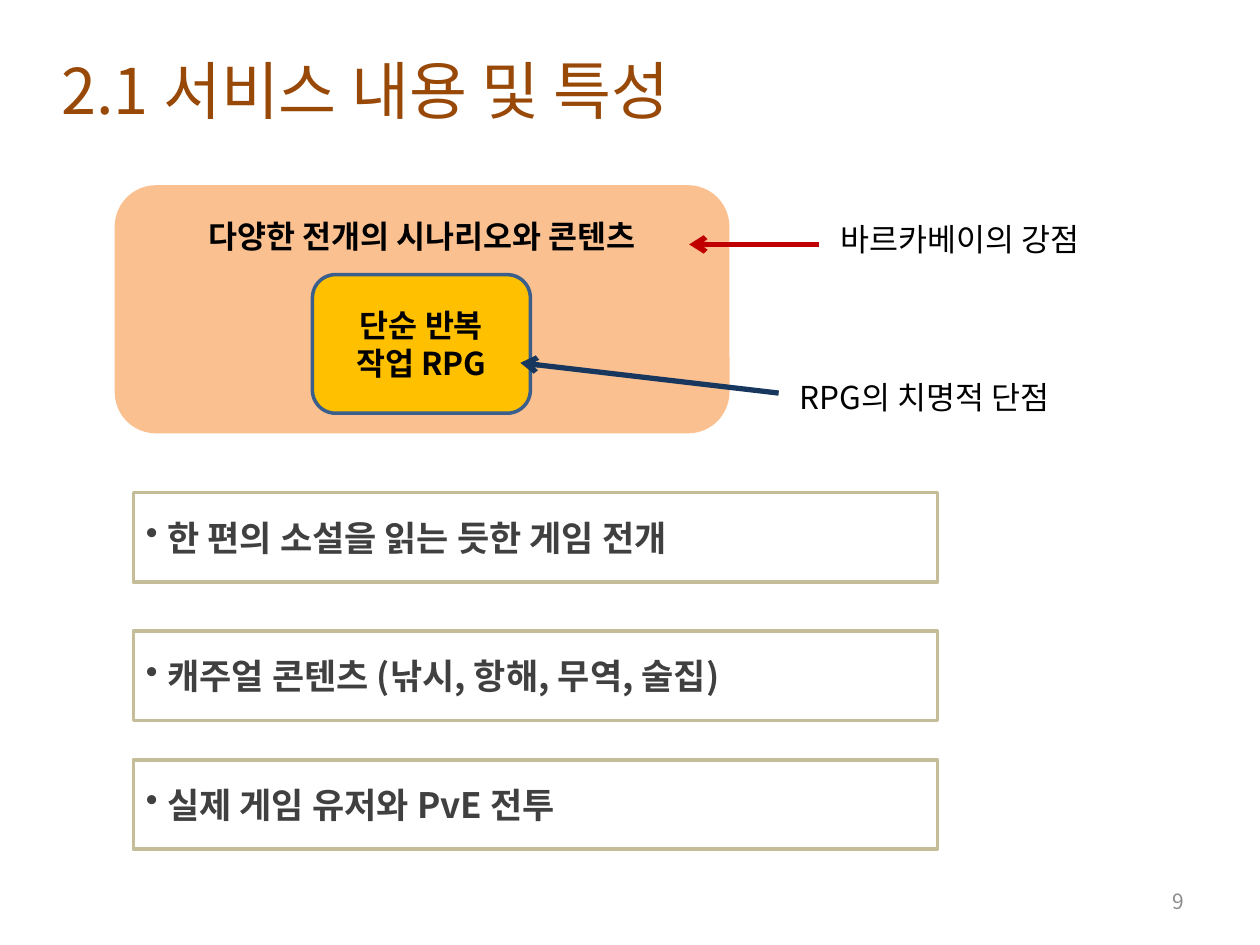
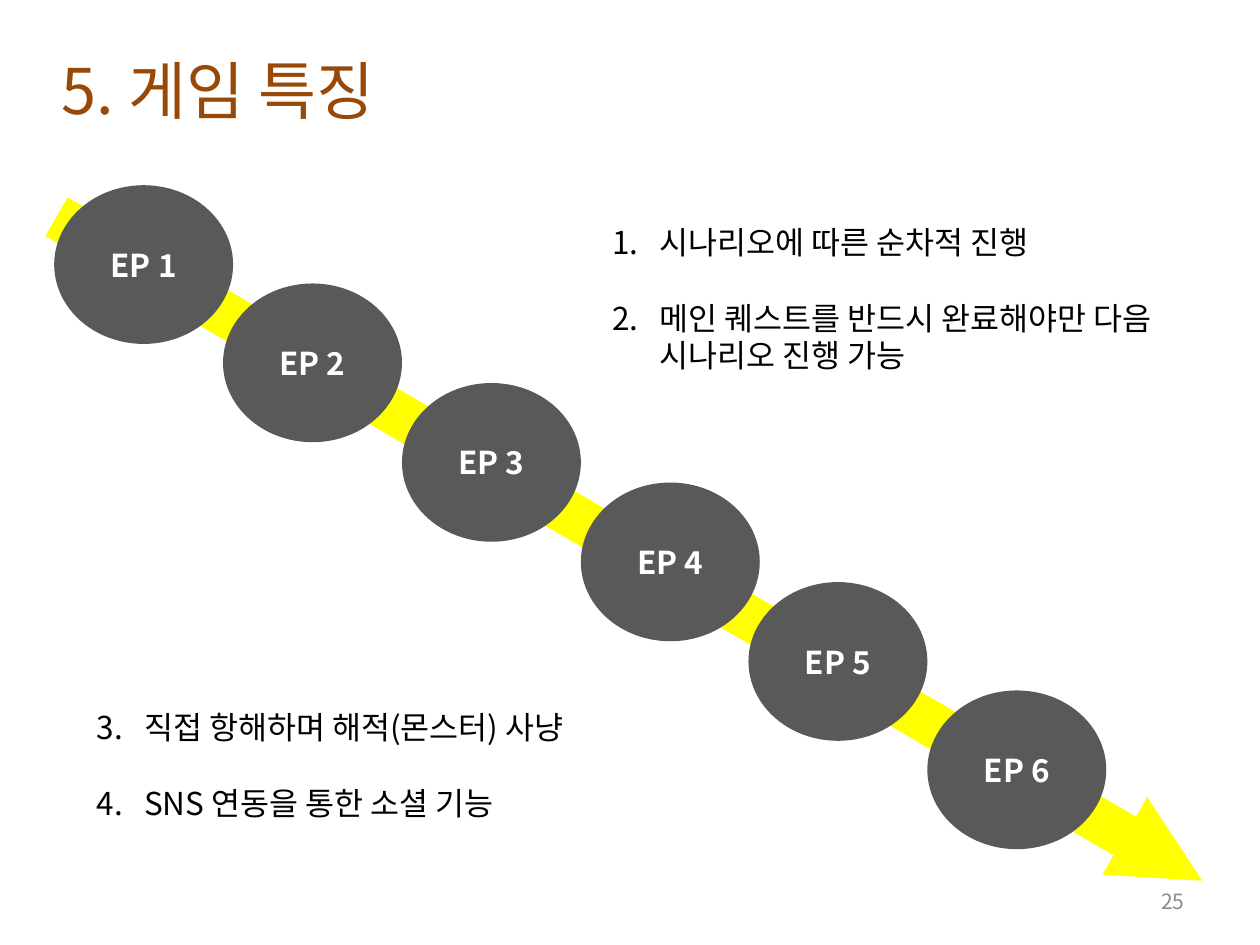
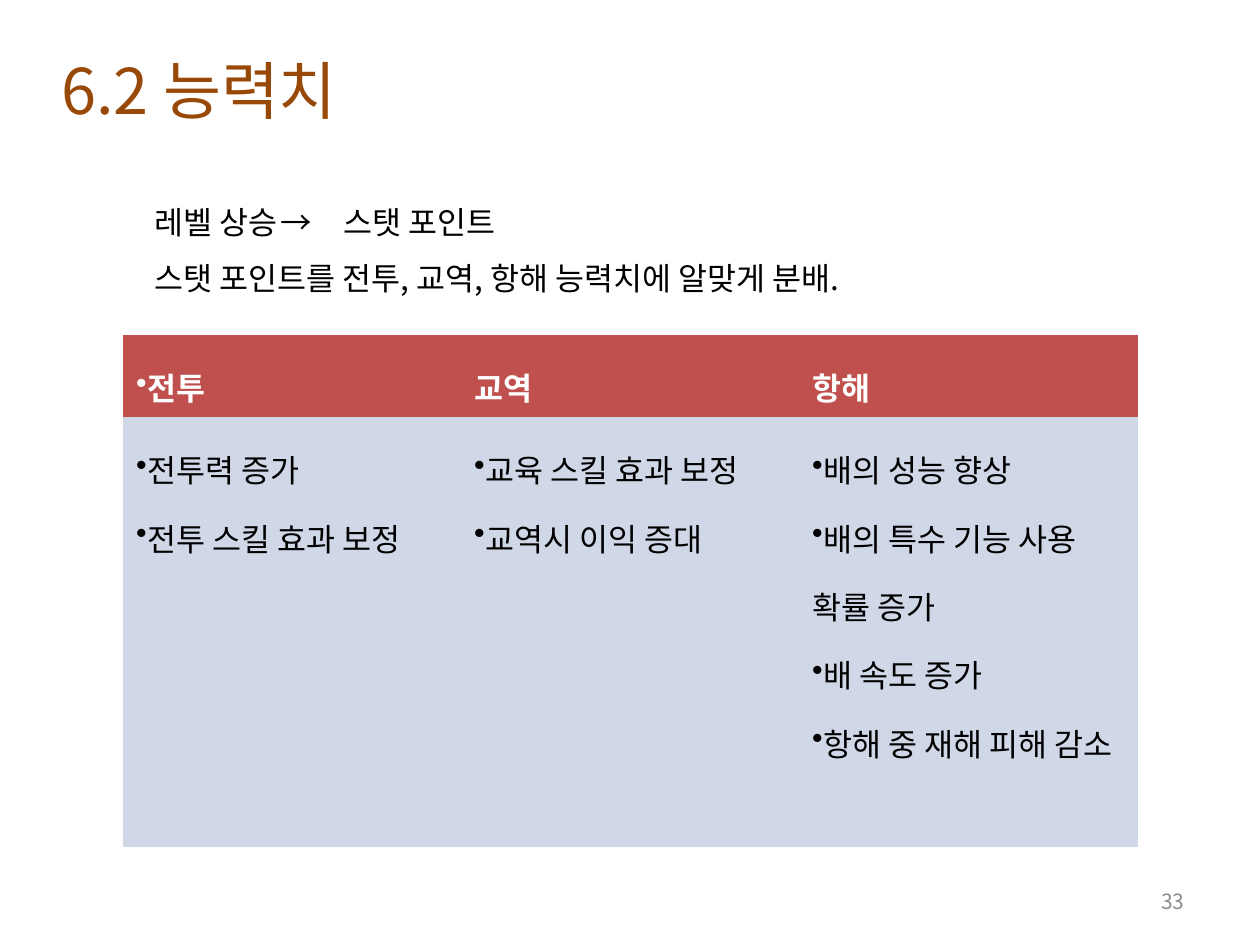
"""Builds three slides about a sailing game: service, features and abilities."""
import dataclasses
import typing

import lxml.etree
import pptx
import pptx.dml.color
import pptx.enum.shapes
import pptx.enum.text
import pptx.oxml.ns
import pptx.util

SLIDE_WIDTH = pptx.util.Inches(10)
SLIDE_HEIGHT = pptx.util.Inches(7.5)
COLUMNS, ROWS = 100, 75
FONT = "Noto Sans CJK KR"
TITLE, FOOTER, INK, WHITE = "984807", "8C8C8C", "000000", "FFFFFF"
STRENGTH, WEAKNESS = "C00000", "17375E"
PLAIN_TABLE = "{2D5ABB26-0587-4C30-8999-92F81FD0307C}"
SHAPES = pptx.enum.shapes.MSO_SHAPE
ALIGN = pptx.enum.text.PP_ALIGN
ANCHOR = pptx.enum.text.MSO_ANCHOR


@dataclasses.dataclass(frozen=True)
class Area:
    """A rectangle in grid columns and rows."""
    left: float
    top: float
    width: float
    height: float

    def lengths(self) -> tuple[int, int, int, int]:
        """Return left, top, width and height as slide lengths."""
        return column(self.left), row(self.top), column(self.width), row(self.height)


@dataclasses.dataclass(frozen=True)
class Style:
    """The look of a text and its paragraphs."""
    size: float = 18
    color: str = INK
    bold: bool = False
    align: typing.Optional[ALIGN] = None
    anchor: ANCHOR = ANCHOR.TOP
    line_spacing: typing.Optional[float] = None
    gap: float = 0
    hanging: float = 0
    bullet: bool = False
    first_number: int = 0
    tabs: tuple[float, ...] = ()
    wrap: bool = True


@dataclasses.dataclass(frozen=True)
class Panel:
    """A preset shape with its fill and outline."""
    area: Area
    preset: SHAPES
    fill: str = ""
    outline: str = ""


@dataclasses.dataclass(frozen=True)
class Pointer:
    """An arrow and the label at its start."""
    start: tuple[float, float]
    end: tuple[float, float]
    color: str
    label: str
    label_area: Area


@dataclasses.dataclass(frozen=True)
class Ability:
    """A table column: heading and effects."""
    heading: str
    bulleted: bool
    effects: tuple[str, ...]


LABEL = Style(wrap=False)
HEADLINE = Style(bold=True, align=ALIGN.CENTER)
CORE = Style(bold=True, align=ALIGN.CENTER, anchor=ANCHOR.MIDDLE)
EPISODE = Style(color=WHITE, bold=True, align=ALIGN.CENTER, anchor=ANCHOR.MIDDLE)
FEATURE = Style(20, "404040", True, anchor=ANCHOR.MIDDLE, hanging=1.7, bullet=True)
NUMBERED = Style(anchor=ANCHOR.MIDDLE, gap=21.6, hanging=3.75, first_number=1)
INTRO = Style(line_spacing=1.5, tabs=(12, 15.9))
ABILITY = Style(line_spacing=1.5, bullet=True)

FEATURES = (
    (39.1, "한 편의 소설을 읽는 듯한 게임 전개"),
    (50.1, "캐주얼 콘텐츠 (낚시, 항해, 무역, 술집)"),
    (60.3, "실제 게임 유저와 PvE 전투"),
)
POINTERS = (
    Pointer((61.8, 31.2), (41.3, 28.8), WEAKNESS, "RPG의 치명적 단점", Area(62.5, 29.5, 23.7, 4)),
    Pointer((65, 19.4), (54.7, 19.4), STRENGTH, "바르카베이의 강점", Area(65.7, 17, 23.1, 4)),
)
EPISODES = ((4.3, 14.7), (17.7, 22.5), (31.9, 30.4), (46.1, 38.3), (59.4, 46.2), (73.6, 54.8))
ABILITIES = (
    Ability("전투", True, ("전투력 증가", "전투 스킬 효과 보정")),
    Ability("교역", False, ("교육 스킬 효과 보정", "교역시 이익 증대")),
    Ability("항해", False, ("배의 성능 향상", "배의 특수 기능 사용 확률 증가",
                          "배 속도 증가", "항해 중 재해 피해 감소")),
)


def column(count: float) -> int:
    """Return the length of some grid columns."""
    return round(SLIDE_WIDTH * count / COLUMNS)


def row(count: float) -> int:
    """Return the length of some grid rows."""
    return round(SLIDE_HEIGHT * count / ROWS)


def rgb(color: str) -> pptx.dml.color.RGBColor:
    """Turn a hex string into a colour."""
    return pptx.dml.color.RGBColor.from_string(color)


def add_xml(parent: typing.Any, tag: str, **attributes: str) -> typing.Any:
    """Append a drawing element and return it."""
    return lxml.etree.SubElement(parent, pptx.oxml.ns.qn(tag), attributes)


def write(frame: typing.Any, lines: typing.Sequence[str], style: Style) -> None:
    """Fill a text frame with one paragraph for each line."""
    for index, line in enumerate(lines):
        paragraph = frame.add_paragraph() if index else frame.paragraphs[0]
        paragraph.alignment = style.align
        if style.line_spacing:
            paragraph.line_spacing = style.line_spacing
        if style.gap and index:
            paragraph.space_before = pptx.util.Pt(style.gap)
        properties = paragraph._p.get_or_add_pPr()
        properties.set("marL", str(column(style.hanging)))
        properties.set("indent", str(-column(style.hanging)))
        if style.bullet:
            add_xml(properties, "a:buChar", char="•")
        elif style.first_number:
            add_xml(properties, "a:buAutoNum", type="arabicPeriod", startAt=str(style.first_number))
        if style.tabs:
            stops = add_xml(properties, "a:tabLst")
            for stop in style.tabs:
                add_xml(stops, "a:tab", pos=str(column(stop)), algn="l")
        run = paragraph.add_run()
        run.text = line
        run.font.size = pptx.util.Pt(style.size)
        run.font.bold = style.bold
        run.font.color.rgb = rgb(style.color)
        run.font.name = FONT
        add_xml(run._r.get_or_add_rPr(), "a:ea", typeface=FONT)


def set_text(holder: typing.Any, lines: typing.Sequence[str], style: Style) -> None:
    """Write lines into a shape or text box and place them."""
    frame = holder.text_frame
    frame.word_wrap = style.wrap
    frame.vertical_anchor = style.anchor
    write(frame, lines, style)


def add_text(slide: typing.Any, area: Area, lines: typing.Sequence[str], style: Style) -> None:
    """Add a text box."""
    set_text(slide.shapes.add_textbox(*area.lengths()), lines, style)


def add_panel(slide: typing.Any, panel: Panel) -> typing.Any:
    """Add a flat preset shape."""
    shape = slide.shapes.add_shape(panel.preset, *panel.area.lengths())
    shape.shadow.inherit = False
    if panel.fill:
        shape.fill.solid()
        shape.fill.fore_color.rgb = rgb(panel.fill)
    else:
        shape.fill.background()
    if panel.outline:
        shape.line.color.rgb = rgb(panel.outline)
        shape.line.width = pptx.util.Pt(2)
    else:
        shape.line.fill.background()
    return shape


def add_pointer(slide: typing.Any, pointer: Pointer) -> None:
    """Add an arrow with its label."""
    (x1, y1), (x2, y2) = pointer.start, pointer.end
    arrow = slide.shapes.add_connector(
        pptx.enum.shapes.MSO_CONNECTOR.STRAIGHT, column(x1), row(y1), column(x2), row(y2))
    arrow.line.color.rgb = rgb(pointer.color)
    arrow.line.width = pptx.util.Pt(3)
    add_xml(arrow.line._get_or_add_ln(), "a:tailEnd", type="arrow")
    add_xml(arrow._element.spPr, "a:effectLst")
    add_text(slide, pointer.label_area, [pointer.label], LABEL)


def add_slide(deck: typing.Any, title: str, title_width: float, number: int) -> typing.Any:
    """Add a blank slide with its title and page number."""
    slide = deck.slides.add_slide(deck.slide_layouts[6])
    add_text(slide, Area(71.7, 69.5, 23.3, 4), [str(number)],
             Style(12, FOOTER, align=ALIGN.RIGHT, anchor=ANCHOR.MIDDLE))
    add_text(slide, Area(3.9, 3.6, title_width, 7.1), [title], Style(36, TITLE, wrap=False))
    return slide


def build_service(deck: typing.Any) -> None:
    """Build the slide on service content and strengths."""
    slide = add_slide(deck, "2.1 서비스 내용 및 특성", 56.6, 9)
    contents = add_panel(slide, Panel(Area(9.1, 14.7, 48.8, 19.7), SHAPES.ROUNDED_RECTANGLE, "FAC090"))
    set_text(contents, ["다양한 전개의 시나리오와 콘텐츠"], HEADLINE)
    contents.text_frame.margin_top = row(1.6)
    grind = add_panel(slide, Panel(Area(24.8, 21.8, 17.3, 11), SHAPES.ROUNDED_RECTANGLE,
                                   "FFC000", "3A5F8C"))
    set_text(grind, ["단순 반복 작업 RPG"], CORE)
    for pointer in POINTERS:
        add_pointer(slide, pointer)
    for top, feature in FEATURES:
        box = add_panel(slide, Panel(Area(10.6, top, 63.8, 7.1), SHAPES.RECTANGLE, outline="C4BD97"))
        set_text(box, [feature], FEATURE)


def build_episodes(deck: typing.Any) -> None:
    """Build the slide on the run of episodes."""
    slide = add_slide(deck, "5. 게임 특징", 30.1, 25)
    path_arrow = add_panel(slide, Panel(Area(-2.6, 40, 105.1, 7.1), SHAPES.RIGHT_ARROW, "FFFF00"))
    path_arrow.adjustments[1] = 1
    path_arrow.rotation = 30.1
    for number, (left, top) in enumerate(EPISODES, start=1):
        episode = add_panel(slide, Panel(Area(left, top, 14.2, 12.6), SHAPES.OVAL, "595959"))
        set_text(episode, [f"EP {number}"], EPISODE)
    add_text(slide, Area(47.6, 17, 50.4, 13.4),
             ["시나리오에 따른 순차적 진행",
              "메인 퀘스트를 반드시 완료해야만 다음 시나리오 진행 가능"], NUMBERED)
    add_text(slide, Area(6.7, 54, 50.4, 13.4),
             ["직접 항해하며 해적(몬스터) 사냥", "SNS 연동을 통한 소셜 기능"],
             dataclasses.replace(NUMBERED, first_number=3))


def build_abilities(deck: typing.Any) -> None:
    """Build the slide on ability scores."""
    slide = add_slide(deck, "6.2 능력치", 26.4, 33)
    add_text(slide, Area(11.3, 14.1, 77.3, 10.1),
             ["레벨 상승\t→\t스탯 포인트",
              "스탯 포인트를 전투, 교역, 항해 능력치에 알맞게 분배."], INTRO)
    area = Area(9.8, 26.6, 80.5, 40.6)
    table = slide.shapes.add_table(2, len(ABILITIES), *area.lengths()).table
    table._tbl.tblPr.find(pptx.oxml.ns.qn("a:tableStyleId")).text = PLAIN_TABLE
    for table_row, height in zip(table.rows, (6.5, 34.1)):
        table_row.height = row(height)
    for index, ability in enumerate(ABILITIES):
        heading = dataclasses.replace(ABILITY, color=WHITE, bold=True, bullet=ability.bulleted)
        entries = (((ability.heading,), heading, "C0504D"), (ability.effects, ABILITY, "D0D8E8"))
        for level, (lines, style, fill) in enumerate(entries):
            cell = table.cell(level, index)
            cell.fill.solid()
            cell.fill.fore_color.rgb = rgb(fill)
            write(cell.text_frame, lines, style)


def main() -> None:
    """Build and save the deck."""
    deck = pptx.Presentation()
    deck.slide_width, deck.slide_height = SLIDE_WIDTH, SLIDE_HEIGHT
    build_service(deck)
    build_episodes(deck)
    build_abilities(deck)
    deck.save("out.pptx")


if __name__ == "__main__":
    main()
